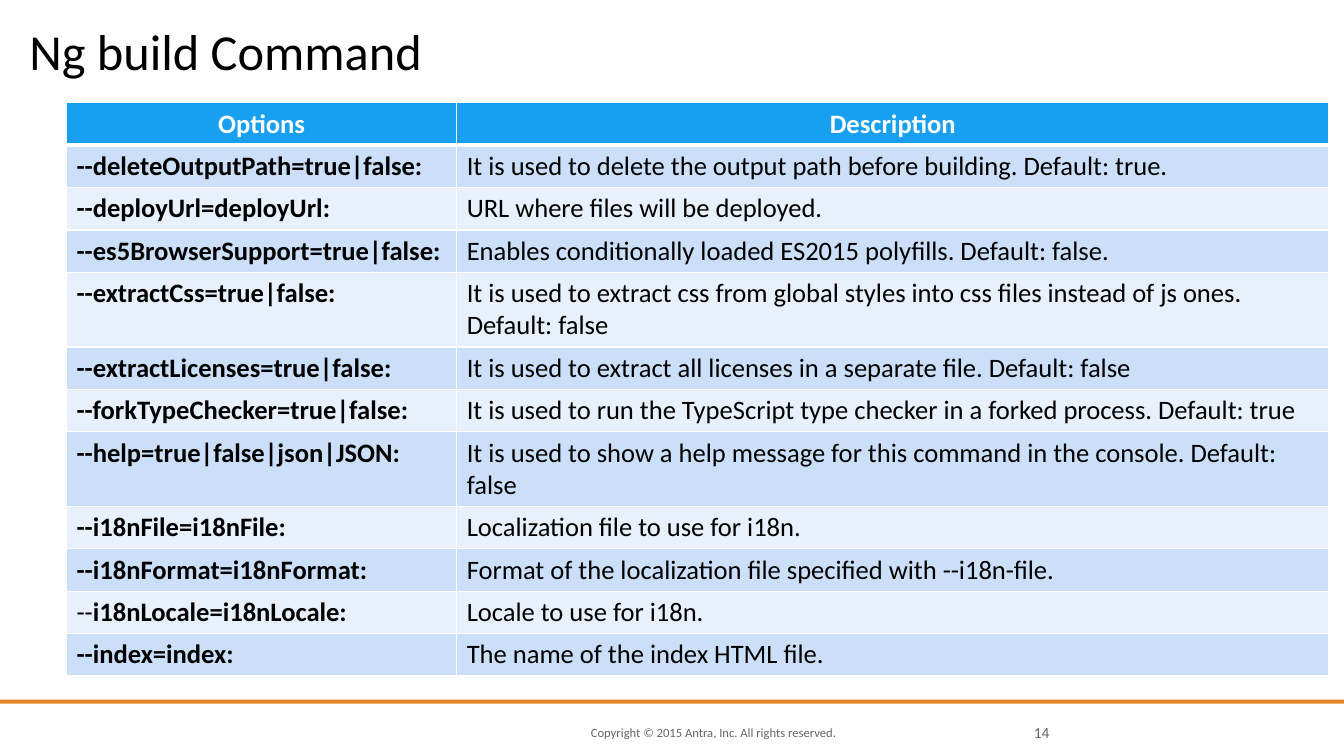
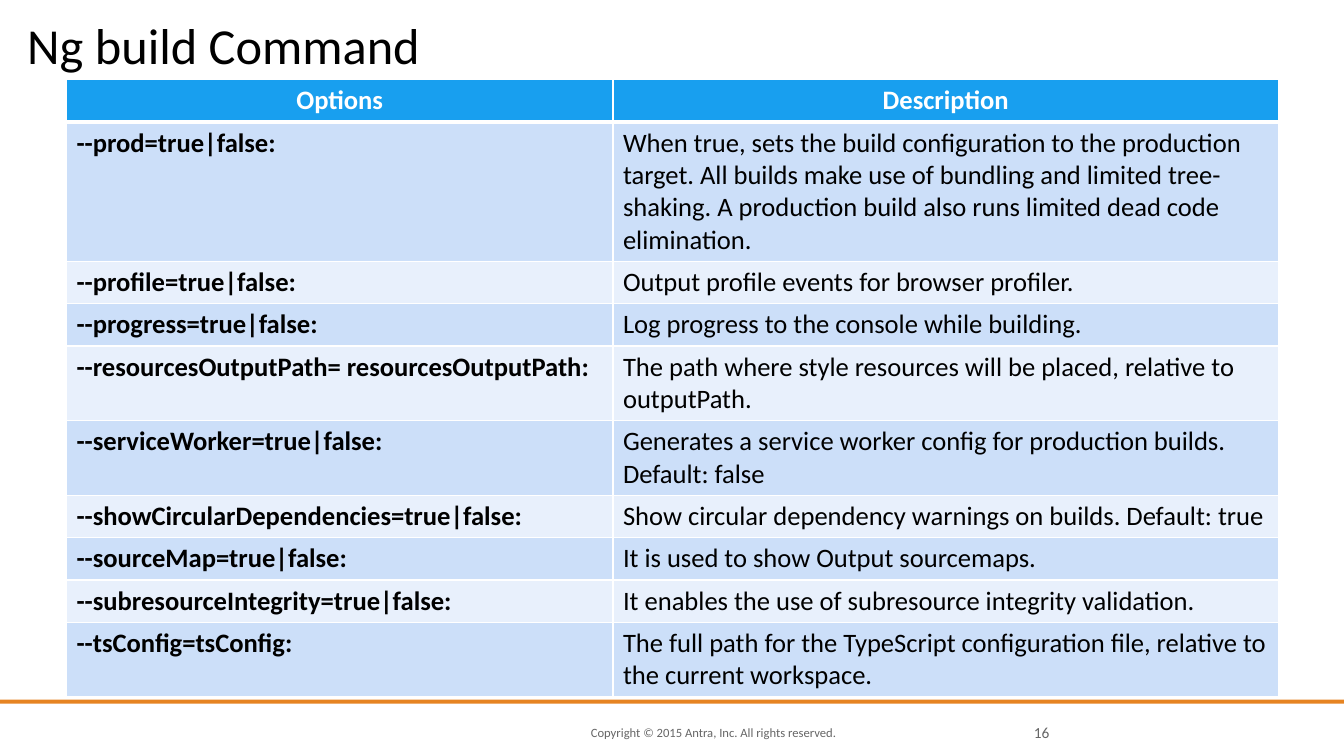
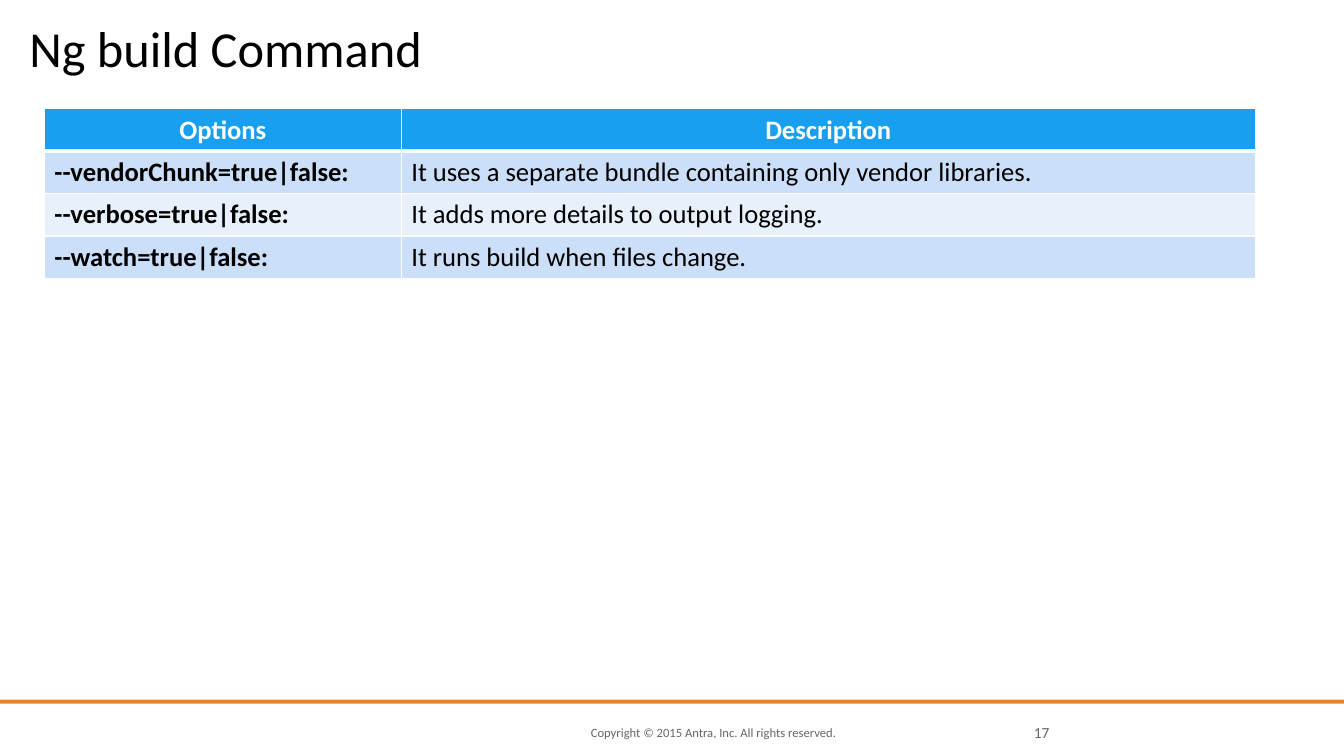
from dataclasses import dataclass

from lxml import etree
from pptx import Presentation
from pptx.dml.color import RGBColor
from pptx.enum.shapes import MSO_SHAPE
from pptx.enum.text import MSO_ANCHOR, MSO_AUTO_SIZE, PP_ALIGN
from pptx.oxml.ns import qn
from pptx.util import Pt

RECT = MSO_SHAPE.RECTANGLE
LEFT, CENTER, RIGHT = PP_ALIGN.LEFT, PP_ALIGN.CENTER, PP_ALIGN.RIGHT
MIDDLE, BOTTOM = MSO_ANCHOR.MIDDLE, MSO_ANCHOR.BOTTOM
NO_AUTOFIT = MSO_AUTO_SIZE.NONE
TITLE_ONLY = 5
EMU_PER_PX = 9144  # 100 px to the inch
ROW_HEIGHT = 41


@dataclass(frozen=True)
class Theme:
    font: str = "Calibri"
    text: str = "000000"
    muted: str = "666666"
    rule: str = "E68422"
    header: str = "189FEF"
    white: str = "FFFFFF"
    bands: tuple = ("CCDFF9", "E8F0FC")
    title_size: int = 36
    table_size: int = 19
    copyright_size: int = 9
    number_size: int = 11
    border: int = 1
    header_border: int = 3


THEME = Theme()
TITLE = "Ng build Command"
COPYRIGHT = "Copyright © 2015 Antra, Inc. All rights reserved."
HEADINGS = ("Options", "Description")

# Each slide: number, title box, table corner, column widths, rows
SLIDES = [
    (14, (29, 26, 1217, 54), (66, 102), (387, 865), [
        ("--deleteOutputPath=true|false:",
         "It is used to delete the output path before building. Default: true."),
        ("--deployUrl=deployUrl:", "URL where files will be deployed."),
        ("--es5BrowserSupport=true|false:",
         "Enables conditionally loaded ES2015 polyfills. Default: false."),
        ("--extractCss=true|false:",
         "It is used to extract css from global styles into css files "
         "instead of js ones. Default: false"),
        ("--extractLicenses=true|false:",
         "It is used to extract all licenses in a separate file. Default: false"),
        ("--forkTypeChecker=true|false:",
         "It is used to run the TypeScript type checker in a forked process. "
         "Default: true"),
        ("--help=true|false|json|JSON:",
         "It is used to show a help message for this command in the console. "
         "Default: false"),
        ("--i18nFile=i18nFile:", "Localization file to use for i18n."),
        ("--i18nFormat=i18nFormat:",
         "Format of the localization file specified with --i18n-file."),
        ("--i18nLocale=i18nLocale:", "Locale to use for i18n."),
        ("--index=index:", "The name of the index HTML file."),
    ]),
    (16, (27, 17, 1217, 57), (66, 79), (542, 660), [
        ("--prod=true|false:",
         "When true, sets the build configuration to the production target. "
         "All builds make use of bundling and limited tree-shaking. "
         "A production build also runs limited dead code elimination."),
        ("--profile=true|false:", "Output profile events for browser profiler."),
        ("--progress=true|false:", "Log progress to the console while building."),
        ("--resourcesOutputPath= resourcesOutputPath:",
         "The path where style resources will be placed, relative to outputPath."),
        ("--serviceWorker=true|false:",
         "Generates a service worker config for production builds. Default: false"),
        ("--showCircularDependencies=true|false:",
         "Show circular dependency warnings on builds. Default: true"),
        ("--sourceMap=true|false:", "It is used to show Output sourcemaps."),
        ("--subresourceIntegrity=true|false:",
         "It enables the use of subresource integrity validation."),
        ("--tsConfig=tsConfig:",
         "The full path for the TypeScript configuration file, relative to the "
         "current workspace."),
    ]),
    (17, (29, 35, 1217, 42), (44, 108), (354, 847), [
        ("--vendorChunk=true|false:",
         "It uses a separate bundle containing only vendor libraries."),
        ("--verbose=true|false:", "It adds more details to output logging."),
        ("--watch=true|false:", "It runs build when files change."),
    ]),
]
# Options whose leading dashes are in regular weight
LIGHT_DASHES = {"--i18nLocale=i18nLocale:"}


def px(*lengths):
    return [n * EMU_PER_PX for n in lengths]


def format_run(r, size, color, bold=False):
    r.font.name = THEME.font
    r.font.size = Pt(size)
    r.font.bold = bold
    r.font.color.rgb = RGBColor.from_string(color)


def set_text(tf, text, size, color, align=LEFT, bold=False):
    tf.text = text
    p = tf.paragraphs[0]
    p.alignment = align
    format_run(p.runs[0], size, color, bold)
    return p


def set_frame(tf, anchor, wrap):
    tf.margin_left = tf.margin_top = tf.margin_right = tf.margin_bottom = 0
    tf.vertical_anchor = anchor
    tf.word_wrap = wrap
    tf.auto_size = NO_AUTOFIT


def add_title(s, box):
    sp = s.shapes.title
    sp.left, sp.top, sp.width, sp.height = px(*box)
    p = set_text(sp.text_frame, TITLE, THEME.title_size, THEME.text)
    p.line_spacing = 0.8
    set_frame(sp.text_frame, BOTTOM, True)


def add_label(s, box, text, size, align=LEFT):
    tf = s.shapes.add_textbox(*px(*box)).text_frame
    set_frame(tf, MIDDLE, False)
    set_text(tf, text, size, THEME.muted, align)


def add_footer(s, number):
    add_label(s, (586, 717, 305, 20), COPYRIGHT, THEME.copyright_size)
    rule = s.shapes.add_shape(RECT, *px(0, 694, 1336, 4))
    rule.shadow.inherit = False
    rule.fill.solid()
    rule.fill.fore_color.rgb = RGBColor.from_string(THEME.rule)
    rule.line.fill.background()
    add_label(s, (999, 717, 42, 20), str(number), THEME.number_size, RIGHT)


def set_borders(cell, top, bottom):
    tc_pr = cell._tc.get_or_add_tcPr()
    edges = (("L", THEME.border), ("R", THEME.border), ("T", top), ("B", bottom))
    for edge, width in edges:
        ln = etree.SubElement(tc_pr, qn(f"a:ln{edge}"), w=str(Pt(width)))
        fill = etree.SubElement(ln, qn("a:solidFill"))
        etree.SubElement(fill, qn("a:srgbClr"), val=THEME.white)


def fill_cell(cell, text, row, bold):
    header = row == 0
    # The thick line lies between the header and the first row
    set_borders(cell,
                THEME.header_border if row == 1 else THEME.border,
                THEME.header_border if header else THEME.border)
    cell.fill.solid()
    fill = THEME.header if header else THEME.bands[(row - 1) % 2]
    cell.fill.fore_color.rgb = RGBColor.from_string(fill)
    color = THEME.white if header else THEME.text
    light = text in LIGHT_DASHES
    p = set_text(cell.text_frame, "--" if light else text, THEME.table_size,
                 color, CENTER if header else LEFT, bold and not light)
    if light:
        r = p.add_run()
        r.text = text[2:]
        format_run(r, THEME.table_size, color, bold)


def add_options_table(s, corner, widths, options):
    rows = [HEADINGS, *options]
    frame = s.shapes.add_table(len(rows), len(widths), *px(
        *corner, sum(widths), ROW_HEIGHT * len(rows)))
    table = frame.table
    for column, width in zip(table.columns, px(*widths)):
        column.width = width
    for i, row in enumerate(rows):
        table.rows[i].height = px(ROW_HEIGHT)[0]
        for j, text in enumerate(row):
            fill_cell(table.cell(i, j), text, i, bold=i == 0 or j == 0)


def main():
    prs = Presentation()
    prs.slide_width, prs.slide_height = px(1333, 750)
    for number, title_box, corner, widths, options in SLIDES:
        s = prs.slides.add_slide(prs.slide_layouts[TITLE_ONLY])
        add_footer(s, number)
        add_title(s, title_box)
        add_options_table(s, corner, widths, options)
    prs.save("out.pptx")


if __name__ == "__main__":
    main()
